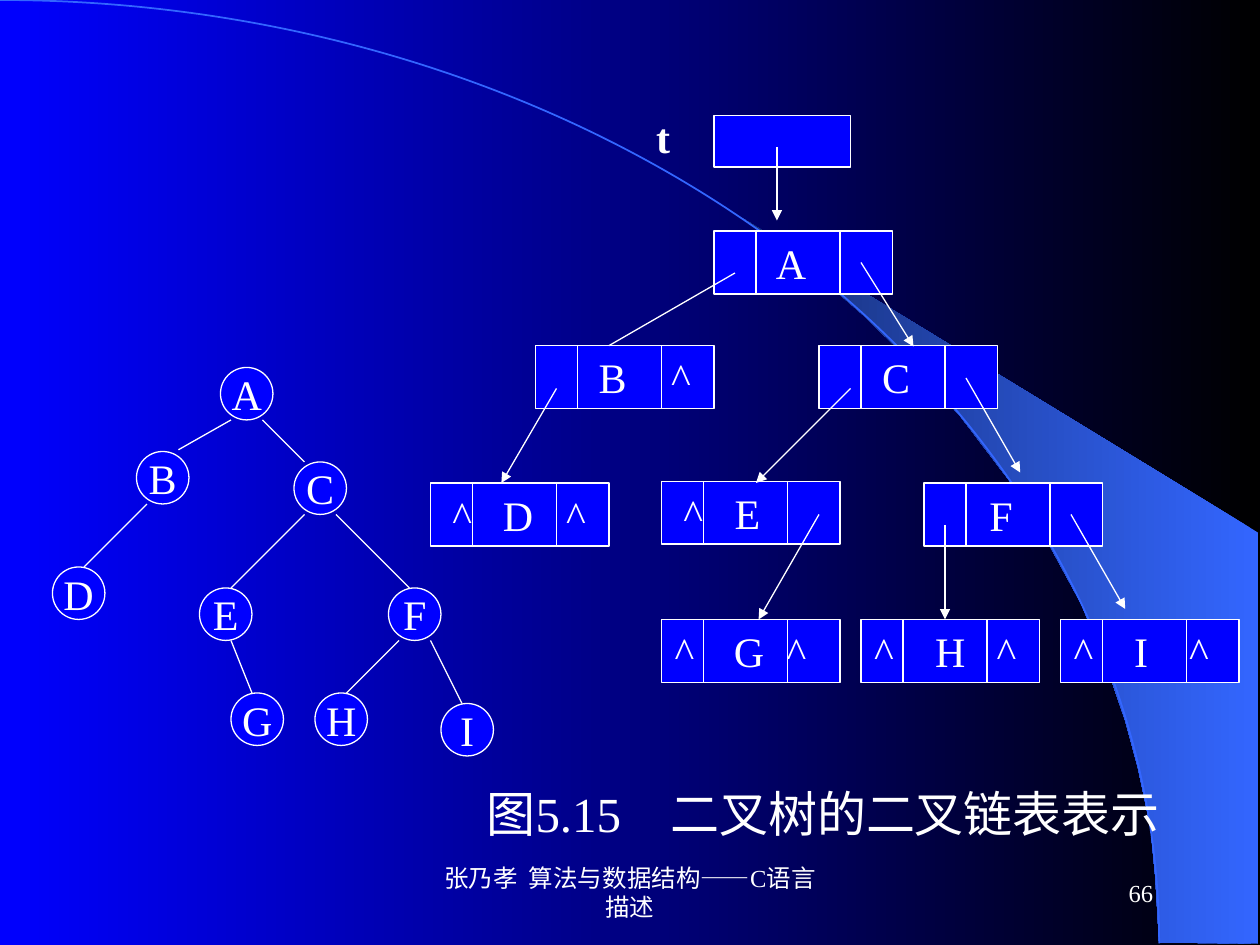
"""Build a slide showing a binary tree beside its linked-list form."""
from pptx import Presentation
from pptx.dml.color import RGBColor
from pptx.enum.shapes import MSO_CONNECTOR, MSO_SHAPE
from pptx.enum.text import MSO_ANCHOR, PP_ALIGN
from pptx.oxml.ns import qn
from pptx.util import Pt
from lxml import etree

STRAIGHT = MSO_CONNECTOR.STRAIGHT
ARC, OVAL, RECTANGLE = MSO_SHAPE.ARC, MSO_SHAPE.OVAL, MSO_SHAPE.RECTANGLE
TOP, MIDDLE = MSO_ANCHOR.TOP, MSO_ANCHOR.MIDDLE
LEFT, CENTER, RIGHT = PP_ALIGN.LEFT, PP_ALIGN.CENTER, PP_ALIGN.RIGHT

FONT = "Times New Roman"
COLORS = {"white": "FFFFFF", "blue": "0000FF", "black": "000000",
          "sky": "3366FF", "navy": "172F75"}
CIRCLE_SIZE = 30
NODE_WIDTH, NODE_HEIGHT = 102, 36
DIVIDERS = (24, 72)

WEDGE = [(662.4, 538.6), (719.3, 539.3), (719.3, 304.6), (424.1, 124.6),
         (449.3, 143.3), (470.2, 159.8), (493.2, 180), (515.5, 201.6),
         (548.6, 237.6), (578.2, 276.5), (599, 310.3), (617.8, 344.9),
         (632.2, 380.2), (643, 411.8), (650.2, 438.5), (657.4, 472.3),
         (660.2, 501.1)]
TREE_NODES = {"A": (126, 210), "B": (78, 258), "D": (30, 324),
              "C": (168, 264), "E": (114, 336), "F": (222, 336),
              "I": (252, 402), "H": (180, 396), "G": (132, 396)}
TREE_EDGES = [(132, 240, 102, 257), (84, 288, 48, 324), (150, 240, 174, 264),
              (174, 294, 132, 336), (192, 294, 234, 336),
              (132, 366, 144, 396), (228, 366, 198, 396),
              (246, 366, 264, 402)]
LIST_NODES = [(408, 132, "\tA", (37,)),
              (306, 197.5, "\tB\t^", (37, 76)),
              (468, 197.5, "\tC", (37,)),
              (378, 275, "\t^\tE", (11, 42)),
              (528, 276, "\tF", (37,)),
              (606, 354, "\t^\tI\t^", (6, 39, 72)),
              (492, 354, "\t^\tH\t^", (6, 44, 76)),
              (378, 354, "\t^\tG\t^", (6, 43, 70)),
              (246, 276, "\t^\tD\t^", (11, 43, 76))]
LINKS = [(318, 222, 286.5, 276), (492, 150, 522, 198), (486, 222, 432, 276),
         (552, 216, 583, 270), (468, 294, 433.5, 354), (540, 300, 540, 354),
         (612, 294, 643, 348), (444, 84, 444, 126)]


def color(name):
    """Return the named colour."""
    return RGBColor.from_string(COLORS[name])


def fill_gradient(fill, first, last):
    """Fill with a gradient running from right to left."""
    fill.gradient()
    fill.gradient_angle = 180
    for stop, name, position in zip(fill.gradient_stops, (first, last), (0, 1)):
        stop.color.rgb = color(name)
        stop.position = position


def write_text(shape, text, size=24, bold=False, align=LEFT, anchor=TOP,
               wrap=True, tabs=(), tab_align="ctr"):
    """Write one formatted paragraph, with optional tab stops."""
    frame = shape.text_frame
    frame.word_wrap = wrap
    frame.vertical_anchor = anchor
    paragraph = frame.paragraphs[0]
    paragraph.alignment = align
    run = paragraph.add_run()
    run.text = text
    run.font.name = FONT
    run.font.size = Pt(size)
    run.font.bold = bold
    run.font.color.rgb = color("white")
    if tabs:
        tab_list = etree.SubElement(paragraph._p.get_or_add_pPr(), qn("a:tabLst"))
        for position in tabs:
            etree.SubElement(tab_list, qn("a:tab"), pos=str(Pt(position)),
                             algn=tab_align)


def add_text(slide, left, top, width, height, text, **text_format):
    """Add a text box."""
    box = slide.shapes.add_textbox(Pt(left), Pt(top), Pt(width), Pt(height))
    write_text(box, text, **text_format)


def add_box(slide, kind, left, top, width, height):
    """Add a blue shape with a thin white outline."""
    shape = slide.shapes.add_shape(kind, Pt(left), Pt(top), Pt(width), Pt(height))
    shape.shadow.inherit = False
    shape.fill.solid()
    shape.fill.fore_color.rgb = color("blue")
    shape.line.color.rgb = color("white")
    shape.line.width = Pt(0.75)
    return shape


def add_line(slide, start_x, start_y, end_x, end_y, arrow=False):
    """Add a thin white line, with an arrowhead at its end if asked."""
    connector = slide.shapes.add_connector(
        STRAIGHT, Pt(start_x), Pt(start_y), Pt(end_x), Pt(end_y))
    connector.line.color.rgb = color("white")
    connector.line.width = Pt(0.75)
    if arrow:
        etree.SubElement(connector.line._get_or_add_ln(), qn("a:tailEnd"),
                         type="triangle")
    etree.SubElement(connector._element.spPr, qn("a:effectLst"))


def add_backdrop(slide):
    """Add the gradient background, the wedge and the large arc."""
    fill_gradient(slide.background.fill, "black", "blue")
    points = [(Pt(x), Pt(y)) for x, y in WEDGE]
    builder = slide.shapes.build_freeform(*points[0])
    builder.add_line_segments(points[1:], close=True)
    wedge = builder.convert_to_shape()
    wedge.shadow.inherit = False
    fill_gradient(wedge.fill, "sky", "navy")
    wedge.line.fill.background()
    arc = slide.shapes.add_shape(ARC, Pt(-662.4), Pt(0), Pt(1324.8), Pt(1078))
    arc.shadow.inherit = False
    arc.fill.background()
    arc.line.color.rgb = color("sky")
    arc.line.width = Pt(1)


def add_list_node(slide, left, top, text, tabs):
    """Add a three-field list node."""
    node = add_box(slide, RECTANGLE, left, top, NODE_WIDTH, NODE_HEIGHT)
    write_text(node, text, tabs=tabs)
    for offset in DIVIDERS:
        add_line(slide, left + offset, top, left + offset, top + NODE_HEIGHT)


def main():
    """Build and save the slide."""
    presentation = Presentation()
    presentation.slide_width, presentation.slide_height = Pt(720), Pt(540)
    slide = presentation.slides.add_slide(presentation.slide_layouts[6])
    add_backdrop(slide)

    for label, (left, top) in TREE_NODES.items():
        circle = add_box(slide, OVAL, left, top, CIRCLE_SIZE, CIRCLE_SIZE)
        write_text(circle, label, align=CENTER, anchor=MIDDLE, wrap=False)
    for edge in TREE_EDGES:
        add_line(slide, *edge)

    add_text(slide, 324, 60, 66, 36, "t", bold=True, align=RIGHT)
    add_box(slide, RECTANGLE, 408, 66, 78, 29.5)
    for node in LIST_NODES:
        add_list_node(slide, *node)
    add_line(slide, 420, 156, 348, 197.5)
    for link in LINKS:
        add_line(slide, *link, arrow=True)

    add_text(slide, 216, 444, 468, 75, "\t图5.15\t二叉树的二叉链表表示",
             size=28, tabs=(55, 160), tab_align="l")
    add_text(slide, 246, 492, 228, 36, "张乃孝  算法与数据结构——C语言描述",
             size=14, align=CENTER, anchor=MIDDLE)
    add_text(slide, 516, 492, 150, 36, "66", size=14, align=RIGHT, anchor=MIDDLE)
    presentation.save("out.pptx")


if __name__ == "__main__":
    main()
